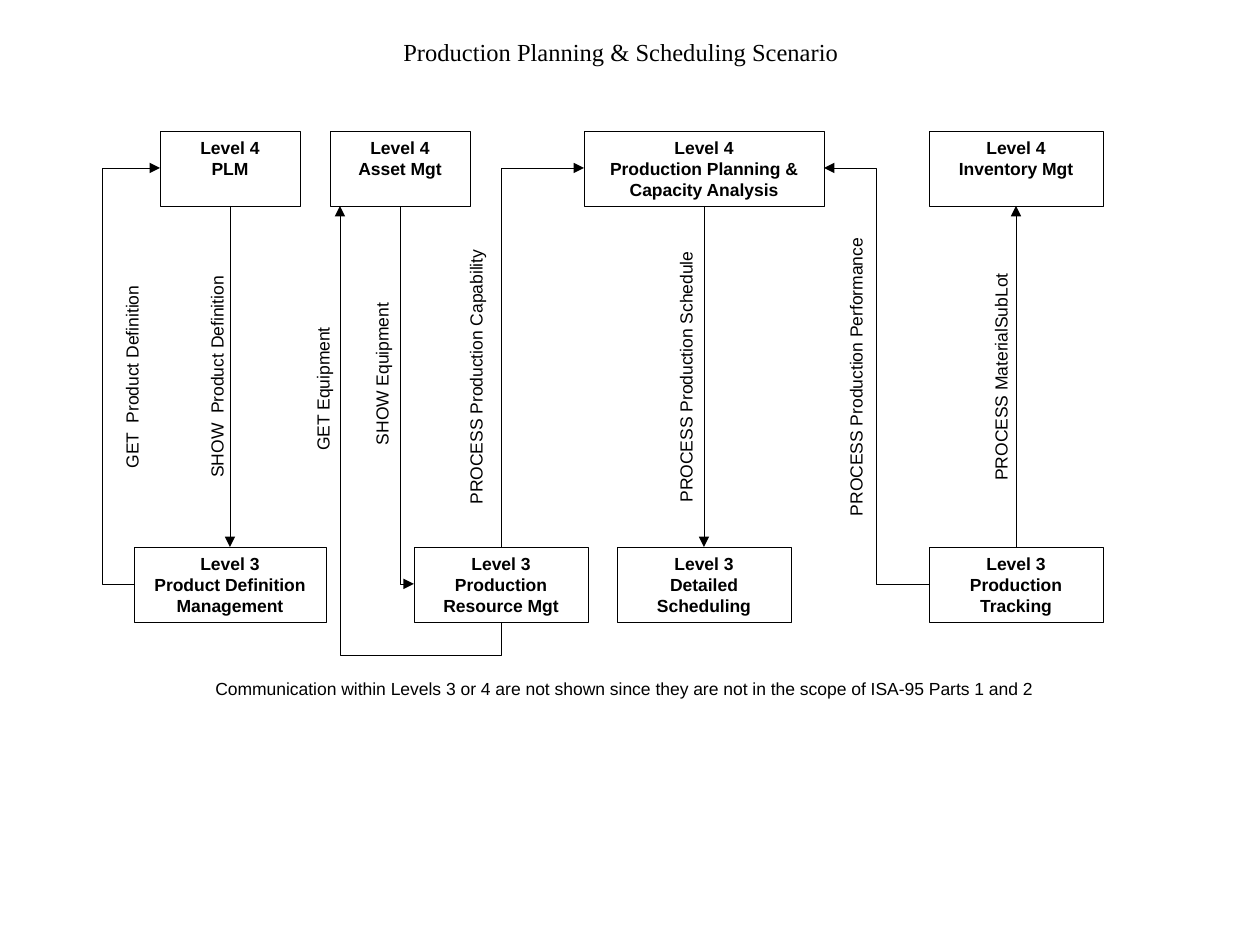
from dataclasses import dataclass

import pptx
import pptx.dml.color
import pptx.enum.shapes
import pptx.enum.text
import pptx.oxml.ns
import pptx.util
from lxml import etree

EMU_PER_PX = 914400 / 126
BLACK, WHITE = "000000", "FFFFFF"
LINE_WIDTH = 0.37
BOX_HEIGHT, LABEL_HEIGHT = 75, 34
LEVEL_4_TOP, LEVEL_3_TOP = 131, 547
LEVEL_4_BOTTOM, LEVEL_3_BOTTOM = LEVEL_4_TOP + BOX_HEIGHT, LEVEL_3_TOP + BOX_HEIGHT
LEVEL_4_MIDDLE, LEVEL_3_MIDDLE = LEVEL_4_TOP + BOX_HEIGHT // 2, LEVEL_3_TOP + BOX_HEIGHT // 2
TOP, BOTTOM = 0, 2
CENTER = pptx.enum.text.PP_ALIGN.CENTER
LEFT = pptx.enum.text.PP_ALIGN.LEFT


@dataclass
class System:
    level: int
    name: str
    left: int
    width: int


@dataclass
class Label:
    text: str
    center_x: int
    width: int
    center_y: int = 377


@dataclass
class Elbow:
    start: tuple[int, int]
    end: tuple[int, int]
    arrow: str  # headEnd is at the start, tailEnd at the end
    bend: float | None = None  # None makes a single corner
    vertical_first: bool = False


SYSTEMS = [
    System(4, "PLM", 160, 140),
    System(4, "Asset Mgt", 330, 140),
    System(4, "Production Planning & Capacity Analysis", 584, 240),
    System(4, "Inventory Mgt", 929, 174),
    System(3, "Product Definition Management", 134, 192),
    System(3, "Production Resource Mgt", 414, 174),
    System(3, "Detailed Scheduling", 617, 174),
    System(3, "Production Tracking", 929, 174),
]

STRAIGHT_FLOWS = [
    ("PLM", BOTTOM, "Product Definition Management", TOP),
    ("Production Planning & Capacity Analysis", BOTTOM, "Detailed Scheduling", TOP),
    ("Production Tracking", TOP, "Inventory Mgt", BOTTOM),
]

ELBOWS = [
    Elbow((134, LEVEL_3_MIDDLE), (160, LEVEL_4_MIDDLE), "tailEnd", -1.23),
    Elbow((929, LEVEL_3_MIDDLE), (824, LEVEL_4_MIDDLE), "tailEnd", 0.5),
    Elbow((584, LEVEL_4_MIDDLE), (501, LEVEL_3_TOP), "headEnd"),
    Elbow((414, LEVEL_3_MIDDLE), (400, LEVEL_4_BOTTOM), "headEnd"),
    Elbow((340, LEVEL_4_BOTTOM), (501, LEVEL_3_BOTTOM), "headEnd", 1.08, True),
]

LABELS = [
    Label("GET  Product Definition", 132, 212),
    Label("SHOW  Product Definition", 217, 230),
    Label("GET Equipment", 323, 152, 389),
    Label("SHOW Equipment", 382, 172, 374),
    Label("PROCESS Production Capability", 476, 286),
    Label("PROCESS Production Schedule", 686, 282),
    Label("PROCESS Production Performance", 856, 312),
    Label("PROCESS MaterialSubLot", 1001, 242),
]


def px(length: float) -> pptx.util.Emu:
    return pptx.util.Emu(round(length * EMU_PER_PX))


def color(value: str) -> pptx.dml.color.RGBColor:
    return pptx.dml.color.RGBColor.from_string(value)


def write(para, text: str, size: int, font: str = "Arial", bold: bool = False, align=CENTER) -> None:
    para.alignment = align
    span = para.add_run()
    span.text = text
    span.font.size = pptx.util.Pt(size)
    span.font.name = font
    span.font.bold = bold
    span.font.color.rgb = color(BLACK)


def add_text(page, left: float, top: float, width: int, height: int, text: str, size: int = 10,
             font: str = "Arial", align=CENTER, wrap: bool = False):
    box = page.shapes.add_textbox(px(left), px(top), px(width), px(height))
    box.text_frame.word_wrap = wrap
    write(box.text_frame.paragraphs[0], text, size, font, align=align)
    return box


def add_label(page, label: Label) -> None:
    box = add_text(page, label.center_x - label.width / 2, label.center_y - LABEL_HEIGHT / 2,
                   label.width, LABEL_HEIGHT, label.text)
    box.text_frame.auto_size = pptx.enum.text.MSO_AUTO_SIZE.SHAPE_TO_FIT_TEXT
    box.rotation = 270


def add_system(page, system: System):
    top = LEVEL_4_TOP if system.level == 4 else LEVEL_3_TOP
    box = page.shapes.add_shape(pptx.enum.shapes.MSO_SHAPE.RECTANGLE,
                                px(system.left), px(top), px(system.width), px(BOX_HEIGHT))
    box.shadow.inherit = False
    box.fill.solid()
    box.fill.fore_color.rgb = color(WHITE)
    box.line.color.rgb = color(BLACK)
    box.line.width = pptx.util.Pt(LINE_WIDTH)
    frame = box.text_frame
    frame.word_wrap = True
    frame.vertical_anchor = pptx.enum.text.MSO_ANCHOR.TOP
    write(frame.paragraphs[0], f"Level {system.level}", 10, bold=True)
    write(frame.add_paragraph(), system.name, 10, bold=True)
    return box


def style_arrow(connector, arrow: str) -> None:
    connector.line.color.rgb = color(BLACK)
    connector.line.width = pptx.util.Pt(LINE_WIDTH)
    qn = pptx.oxml.ns.qn
    properties = connector._element.spPr
    etree.SubElement(properties.find(qn("a:ln")), qn(f"a:{arrow}"), type="triangle")
    etree.SubElement(properties, qn("a:effectLst"))


def add_straight(page, source, source_side: int, target, target_side: int) -> None:
    connector = page.shapes.add_connector(pptx.enum.shapes.MSO_CONNECTOR.STRAIGHT, 0, 0, 0, 0)
    connector.begin_connect(source, source_side)
    connector.end_connect(target, target_side)
    style_arrow(connector, "tailEnd")


def add_elbow(page, elbow: Elbow) -> None:
    (x1, y1), (x2, y2) = elbow.start, elbow.end
    if elbow.vertical_first:
        # Swap width and height about the centre, then turn the frame
        center_x, center_y = (x1 + x2) / 2, (y1 + y2) / 2
        half_width, half_height = (y2 - y1) / 2, (x2 - x1) / 2
        x1, x2 = center_x + half_width, center_x - half_width
        y1, y2 = center_y - half_height, center_y + half_height
    connector = page.shapes.add_connector(pptx.enum.shapes.MSO_CONNECTOR.ELBOW,
                                          px(x1), px(y1), px(x2), px(y2))
    qn = pptx.oxml.ns.qn
    properties = connector._element.spPr
    if elbow.vertical_first:
        properties.find(qn("a:xfrm")).set("rot", str(270 * 60000))
    geometry = properties.find(qn("a:prstGeom"))
    if elbow.bend is None:
        geometry.set("prst", "bentConnector2")
    else:
        guides = geometry.find(qn("a:avLst"))
        etree.SubElement(guides, qn("a:gd"), name="adj1", fmla=f"val {round(elbow.bend * 100000)}")
    style_arrow(connector, elbow.arrow)


def main() -> None:
    deck = pptx.Presentation()
    deck.slide_width, deck.slide_height = px(1260), px(945)
    page = deck.slides.add_slide(deck.slide_layouts[6])

    # Title
    title = add_text(page, 126, 31, 990, 42, "Production Planning & Scheduling Scenario",
                     14, "Times New Roman", wrap=True)
    title.text_frame.vertical_anchor = pptx.enum.text.MSO_ANCHOR.MIDDLE

    # Systems
    boxes = {system.name: add_system(page, system) for system in SYSTEMS}

    # Message flows
    for source, source_side, target, target_side in STRAIGHT_FLOWS:
        add_straight(page, boxes[source], source_side, boxes[target], target_side)
    for elbow in ELBOWS:
        add_elbow(page, elbow)
    for label in LABELS:
        add_label(page, label)

    # Scope note
    add_text(page, 203, 672, 842, LABEL_HEIGHT,
             "Communication within Levels 3 or 4 are not shown since they are not in the scope "
             "of ISA-95 Parts 1 and 2", align=LEFT)

    deck.save("out.pptx")


if __name__ == "__main__":
    main()
